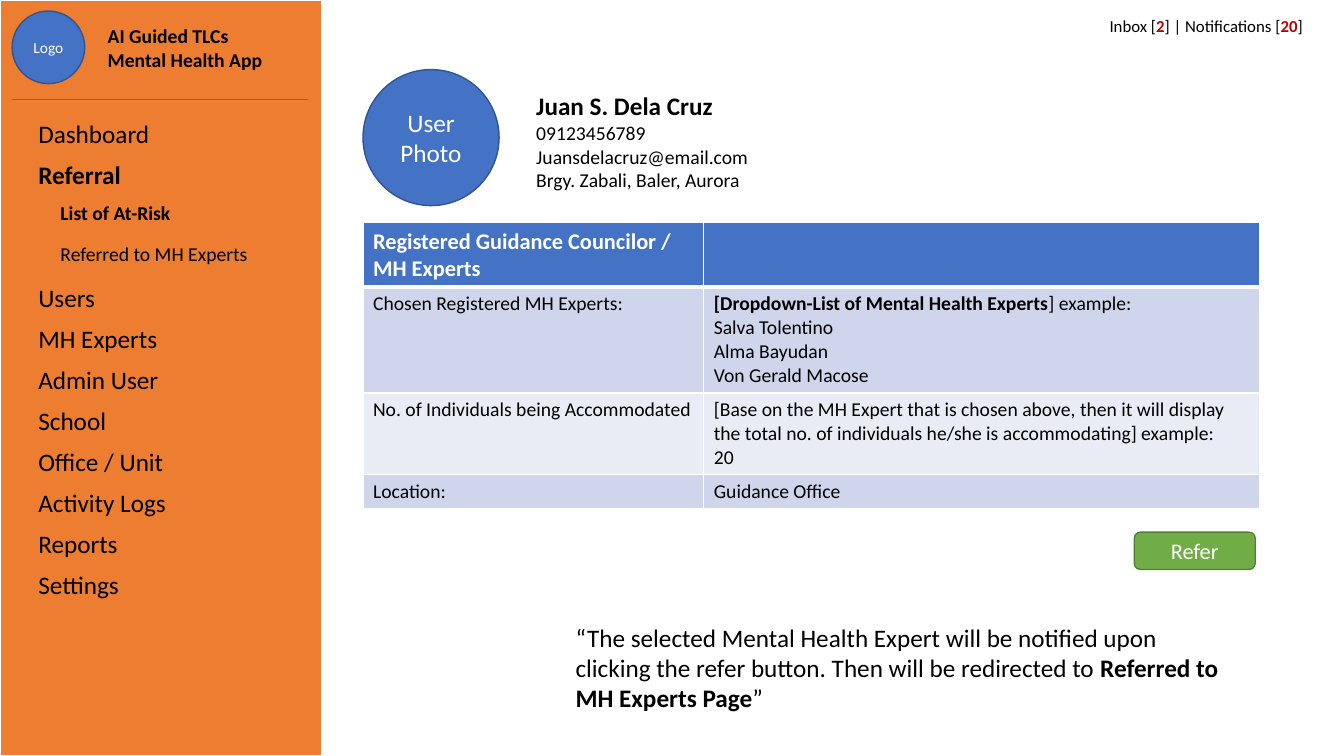
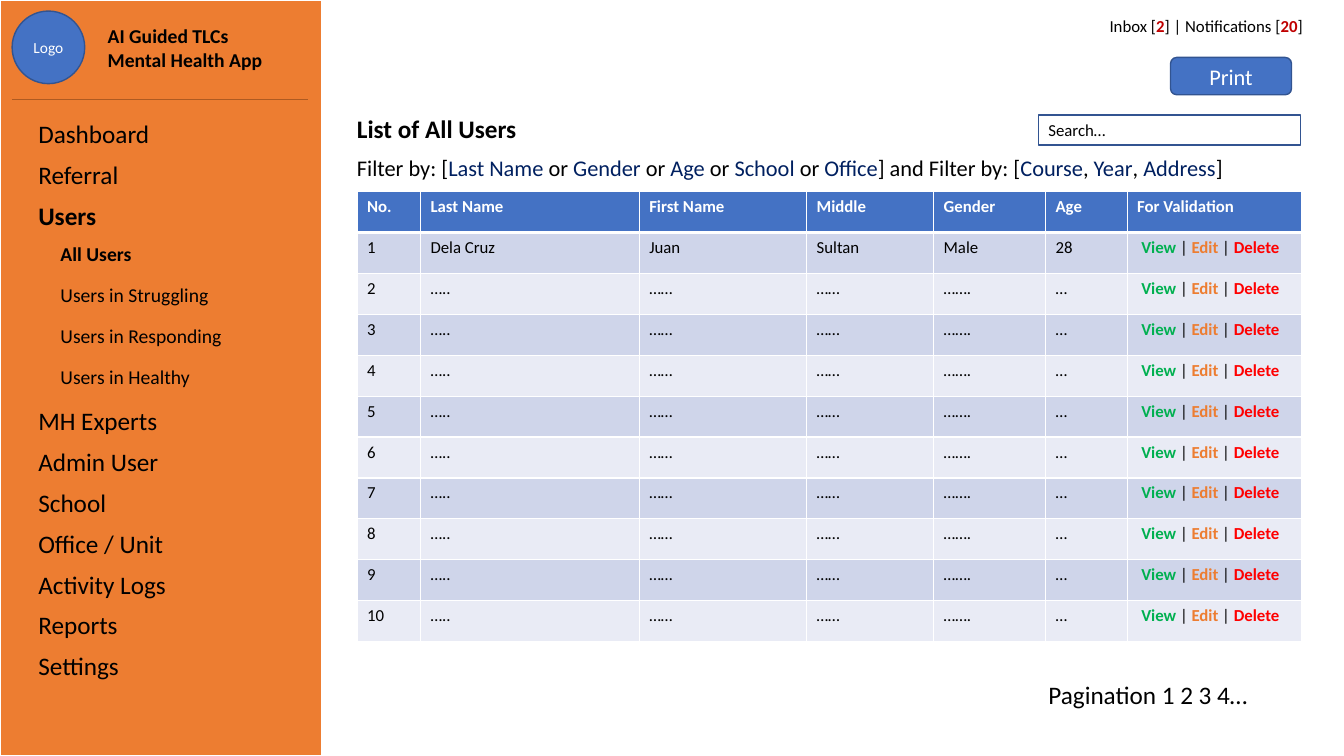
from lxml.etree import SubElement
from pptx import Presentation
from pptx.dml.color import RGBColor
from pptx.enum.shapes import MSO_CONNECTOR, MSO_SHAPE
from pptx.enum.text import MSO_ANCHOR, PP_ALIGN
from pptx.oxml.ns import qn
from pptx.util import Inches, Pt

FONT = "Calibri"
BLACK = RGBColor(0x00, 0x00, 0x00)
WHITE = RGBColor(0xFF, 0xFF, 0xFF)
ORANGE = RGBColor(0xED, 0x7D, 0x31)
RUST = RGBColor(0xAE, 0x5A, 0x21)
BLUE = RGBColor(0x44, 0x72, 0xC4)
DARK_BLUE = RGBColor(0x32, 0x54, 0x91)
NAVY = RGBColor(0x00, 0x20, 0x60)
GREEN = RGBColor(0x70, 0xAD, 0x47)
DARK_GREEN = RGBColor(0x53, 0x80, 0x35)
VIEW_GREEN = RGBColor(0x00, 0xB0, 0x50)
RED = RGBColor(0xFF, 0x00, 0x00)
DARK_RED = RGBColor(0xC0, 0x00, 0x00)
BANDS = (RGBColor(0xCF, 0xD5, 0xEA), RGBColor(0xE9, 0xEB, 0xF5))
NO_STYLE = "{2D5ABB26-0587-4C30-8999-92F81FD0307C}"
ROW_H = 0.406

BOLD = {"bold": True}
COUNT = {"bold": True, "color": DARK_RED}
FIELD = {"color": NAVY}

# A paragraph is a string or a list of runs; a run is a string or (text, format).
MENU = ["Dashboard", "Referral", "Users", "MH Experts", "Admin User", "School",
        "Office / Unit", "Activity Logs", "Reports", "Settings"]
SUBMENUS = {
    "Referral": ["List of At-Risk", "Referred to MH Experts"],
    "Users": ["All Users", "Users in Struggling", "Users in Responding",
              "Users in Healthy"],
}
APP_NAME = "AI Guided TLCs Mental Health App"
ALERTS = ["Inbox [", ("2", COUNT), "] | Notifications [", ("20", COUNT), "]"]

PROFILE = [
    [("Juan S. Dela Cruz", {"bold": True, "size": 18})],
    "09123456789",
    "Juansdelacruz@email.com",
    "Brgy. Zabali, Baler, Aurora",
]
EXPERT_COLS = [3.38, 5.51]
EXPERT_ROW_H = [0.64, 1.05, 0.81, 0.34]
EXPERT_ROWS = [
    [["Registered Guidance Councilor / MH Experts"], []],
    [["Chosen Registered MH Experts:"],
     [[("[Dropdown-List of Mental Health Experts", BOLD), "] example:"],
      "Salva Tolentino", "Alma Bayudan", "Von Gerald Macose"]],
    [["No. of Individuals being Accommodated"],
     ["[Base on the MH Expert that is chosen above, then it will display the total "
      "no. of individuals he/she is accommodating] example:", "20"]],
    [["Location:"], ["Guidance Office"]],
]
REFER_NOTE = [
    "“The selected Mental Health Expert will be notified upon clicking the refer "
    "button. Then will be redirected to ",
    ("Referred to MH Experts Page", BOLD), "”",
]

FILTERS = [
    "Filter by: [", ("Last Name", FIELD), " or ", ("Gender", FIELD), " or ",
    ("Age", FIELD), " or ", ("School", FIELD), " or ", ("Office", FIELD),
    "] and Filter by: [", ("Course", FIELD), ", ", ("Year", FIELD), ", ",
    ("Address", FIELD), "]",
]
USER_COLS = [0.63, 2.17, 1.66, 1.26, 1.11, 0.81, 1.73]
USER_HEAD = ["No.", "Last Name", "First Name", "Middle", "Gender", "Age",
             "For Validation"]
FIRST_USER = ["Dela Cruz", "Juan", "Sultan", "Male", "28"]
OTHER_USER = ["…..", "……", "……", "…….", "…"]
USER_COUNT = 10
ACTIONS = [("View", {"bold": True, "color": VIEW_GREEN}), " | ",
           ("Edit", {"bold": True, "color": ORANGE}), " | ",
           ("Delete", {"bold": True, "color": RED})]


def write(tf, paragraphs, align=PP_ALIGN.LEFT, **base):
    for i, runs in enumerate(paragraphs):
        p = tf.paragraphs[0] if i == 0 else tf.add_paragraph()
        p.alignment = align
        for run in [runs] if isinstance(runs, str) else runs:
            text, extra = (run, {}) if isinstance(run, str) else run
            fmt = {"name": FONT, "bold": False, "color": BLACK, **base, **extra}
            r = p.add_run()
            r.text = text
            r.font.color.rgb = fmt.pop("color")
            fmt["size"] = Pt(fmt["size"])
            for name, value in fmt.items():
                setattr(r.font, name, value)


def add_text(s, box, paragraphs, inset=0.1, **fmt):
    tf = s.shapes.add_textbox(*map(Inches, box)).text_frame
    tf.word_wrap = True
    tf.margin_left = Inches(inset)
    write(tf, paragraphs, **fmt)


def add_shape(s, kind, box, fill, line, text="", width=1, inset=0, **fmt):
    sp = s.shapes.add_shape(kind, *map(Inches, box))
    sp.shadow.inherit = False
    sp.fill.solid()
    sp.fill.fore_color.rgb = fill
    sp.line.color.rgb = line
    sp.line.width = Pt(width)
    if text:
        tf = sp.text_frame
        tf.word_wrap = True
        tf.vertical_anchor = MSO_ANCHOR.MIDDLE
        tf.margin_left = tf.margin_right = Inches(inset)
        write(tf, [text], **{"align": PP_ALIGN.CENTER, "color": WHITE, **fmt})


def add_plain_table(s, left, top, cols, row_heights):
    frame = s.shapes.add_table(len(row_heights), len(cols), Inches(left), Inches(top),
                               Inches(sum(cols)), Inches(sum(row_heights)))
    table = frame.table
    table.first_row = table.horz_banding = False
    frame._element.find(".//" + qn("a:tableStyleId")).text = NO_STYLE
    for col, width in zip(table.columns, cols):
        col.width = Inches(width)
    for row, height in zip(table.rows, row_heights):
        row.height = Inches(height)
    return table


def set_borders(cell, **widths):
    """Draw white cell edges; widths in points by side: L, R, T, B."""
    tcPr = cell._tc.get_or_add_tcPr()
    for side, width in widths.items():
        ln = SubElement(tcPr, qn("a:ln" + side), w=str(Pt(width)))
        fill = SubElement(ln, qn("a:solidFill"))
        SubElement(fill, qn("a:srgbClr"), val=str(WHITE))


def add_grid(s, left, top, cols, row_heights, rows, size, head_size):
    table = add_plain_table(s, left, top, cols, row_heights)
    for i, row in enumerate(rows):
        head = i == 0
        fmt = ({"size": head_size, "bold": True, "color": WHITE} if head
               else {"size": size})
        for j, paragraphs in enumerate(row):
            cell = table.cell(i, j)
            set_borders(cell, L=1, R=1, T=3 if i == 1 else 1, B=3 if head else 1)
            cell.fill.solid()
            cell.fill.fore_color.rgb = BLUE if head else BANDS[(i - 1) % 2]
            if paragraphs == [ACTIONS]:
                fmt["align"] = PP_ALIGN.CENTER
                cell.margin_right = Inches(0.18)
            write(cell.text_frame, paragraphs, **fmt)


def add_menu(s, section):
    """List the menu with one section open and its first page current."""
    items = []
    for name in MENU:
        items.append((name, 18, 0.1, name == section))
        if name == section:
            items += [(sub, 14, 0.32, k == 0)
                      for k, sub in enumerate(SUBMENUS[section])]
    table = add_plain_table(s, 0.28, 1.14, [2.64], [ROW_H] * len(items))
    for i, (name, size, indent, bold) in enumerate(items):
        cell = table.cell(i, 0)
        cell.fill.background()
        cell.margin_left = Inches(indent)
        write(cell.text_frame, [name], size=size, bold=bold)


def add_page(prs, section):
    s = prs.slides.add_slide(prs.slide_layouts[6])
    add_shape(s, MSO_SHAPE.RECTANGLE, (0, 0, 3.19, 7.5), ORANGE, WHITE, width=1.5)
    add_menu(s, section)
    add_shape(s, MSO_SHAPE.OVAL, (0.12, 0.11, 0.72, 0.72), BLUE, DARK_BLUE,
              "Logo", size=11)
    add_text(s, (0.97, 0.19, 1.83, 0.57), [APP_NAME], size=14, bold=True)
    rule = s.shapes.add_connector(MSO_CONNECTOR.STRAIGHT, Inches(0.12), Inches(0.99),
                                  Inches(3.05), Inches(0.99))
    rule.line.color.rgb = RUST
    rule.line.width = Pt(0.5)
    SubElement(rule._element.spPr, qn("a:effectLst"))
    add_text(s, (10.36, 0.11, 2.66, 0.3), [ALERTS], size=12, align=PP_ALIGN.RIGHT)
    return s


def add_referral_page(prs):
    s = add_page(prs, "Referral")
    add_shape(s, MSO_SHAPE.OVAL, (3.6, 0.69, 1.35, 1.35), BLUE, DARK_BLUE,
              "User Photo", size=18)
    add_text(s, (5.22, 0.85, 3.44, 1.11), PROFILE, size=14)
    add_grid(s, 3.6, 2.21, EXPERT_COLS, EXPERT_ROW_H, EXPERT_ROWS, 14, 16)
    add_shape(s, MSO_SHAPE.ROUNDED_RECTANGLE, (11.25, 5.28, 1.2, 0.37), GREEN,
              DARK_GREEN, "Refer", size=16)
    add_text(s, (5.61, 6.12, 6.68, 1.01), [REFER_NOTE], size=18)


def add_users_page(prs):
    s = add_page(prs, "Users")
    rows = [[[name] for name in USER_HEAD]]
    for n in range(1, USER_COUNT + 1):
        user = FIRST_USER if n == 1 else OTHER_USER
        rows.append([[str(n)], *([value] for value in user), [ACTIONS]])
    add_grid(s, 3.54, 1.9, USER_COLS, [ROW_H] * len(rows), rows, 12, 12)
    add_shape(s, MSO_SHAPE.ROUNDED_RECTANGLE, (11.61, 0.57, 1.2, 0.37), BLUE,
              DARK_BLUE, "Print", size=16)
    add_text(s, (10.3, 6.69, 2.6, 0.4), ["Pagination 1 2 3 4…"], size=18)
    add_text(s, (3.54, 1.08, 2.8, 0.4), ["List of All Users"], inset=0, size=18,
             bold=True)
    add_text(s, (3.54, 1.48, 9.36, 0.37), [FILTERS], inset=0, size=16)
    add_shape(s, MSO_SHAPE.RECTANGLE, (10.3, 1.14, 2.6, 0.3), WHITE, DARK_BLUE,
              "Search…", inset=0.1, size=12, align=PP_ALIGN.LEFT, color=BLACK)


def main():
    prs = Presentation()
    prs.slide_width, prs.slide_height = Inches(13.33), Inches(7.5)
    add_referral_page(prs)
    add_users_page(prs)
    prs.save("out.pptx")


if __name__ == "__main__":
    main()
